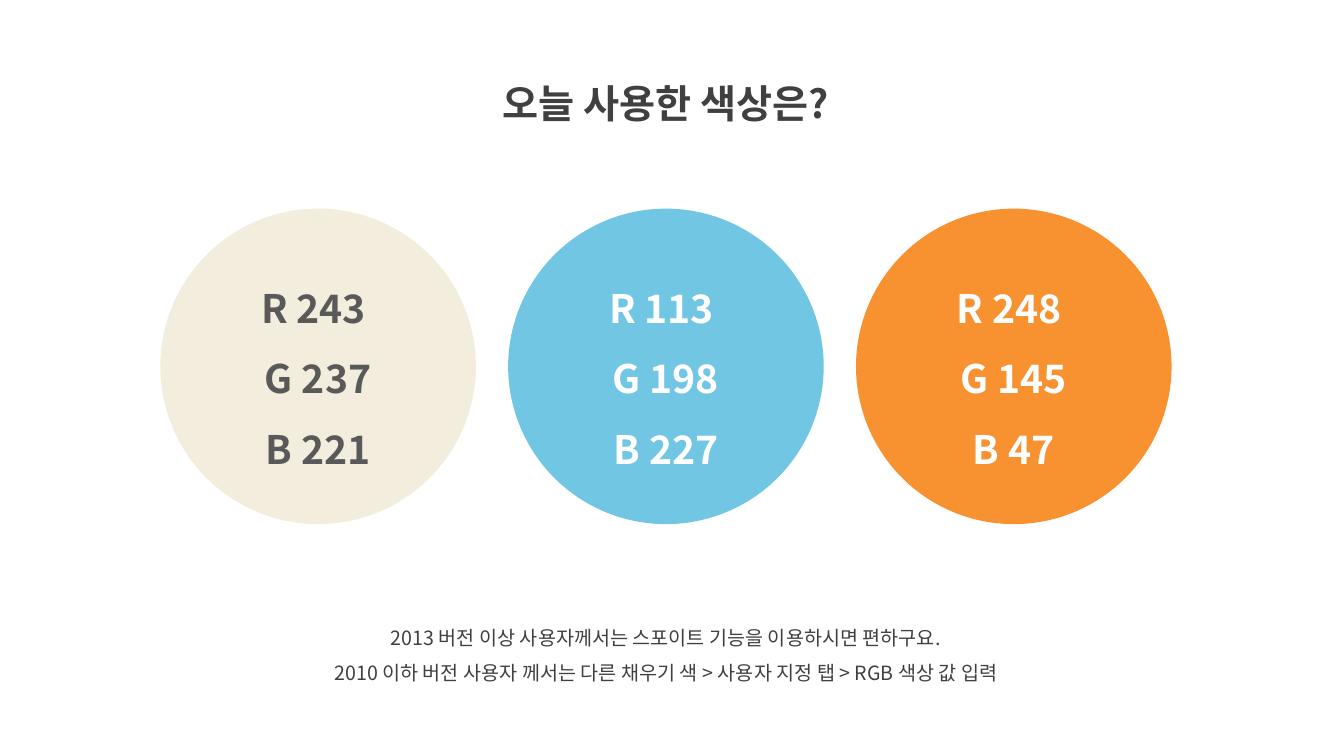
from dataclasses import dataclass

from lxml import etree
from pptx import Presentation
from pptx import util as u
from pptx.dml.color import RGBColor
from pptx.enum import shapes, text
from pptx.oxml.ns import qn

FONT = "Noto Sans CJK KR"
COLORS = {
    "ink": "404040",
    "gray": "595959",
    "white": "FFFFFF",
    "cream": "F3EDDD",
    "sky": "71C6E3",
    "orange": "F8912F",
}
DIAMETER, STEP = 3.13, 3.45
FIRST_LEFT, CIRCLE_TOP = 1.59, 2.07


@dataclass
class Swatch:
    fill: str
    ink: str


SWATCHES = [
    Swatch("cream", "gray"),
    Swatch("sky", "white"),
    Swatch("orange", "white"),
]
CAPTION = [
    "2013 버전 이상 사용자께서는 스포이트 기능을 이용하시면 편하구요.",
    "2010 이하 버전 사용자 께서는 다른 채우기 색 > 사용자 지정 탭 > RGB 색상 값 입력",
]


def rgb(name: str) -> RGBColor:
    return RGBColor.from_string(COLORS[name])


def write(shape, lines: list[str], size: float, ink: str, bold: bool, frame_format: dict) -> None:
    """Fill a shape with centred lines in the slide font."""
    frame = shape.text_frame
    for key, value in {"word_wrap": True, **frame_format}.items():
        setattr(frame, key, value)
    for index, line in enumerate(lines):
        para = frame.add_paragraph() if index else frame.paragraphs[0]
        para_format = {
            "alignment": text.PP_ALIGN.CENTER,
            "line_spacing": 1.5,
            "space_before": u.Pt(0),
        }
        for key, value in para_format.items():
            setattr(para, key, value)
        span = para.add_run()
        span.text = line
        for key, value in {"name": FONT, "size": u.Pt(size), "bold": bold}.items():
            setattr(span.font, key, value)
        span.font.color.rgb = rgb(ink)
        # Korean letters take the East Asian typeface
        etree.SubElement(span.font._element, qn("a:ea"), typeface=FONT)


def add_swatch(page, swatch: Swatch, left: float) -> None:
    """Draw a circle that states the RGB values of its own fill."""
    circle = page.shapes.add_shape(
        shapes.MSO_SHAPE.OVAL,
        u.Inches(left), u.Inches(CIRCLE_TOP), u.Inches(DIAMETER), u.Inches(DIAMETER),
    )
    circle.shadow.inherit = False
    circle.fill.solid()
    circle.fill.fore_color.rgb = rgb(swatch.fill)
    circle.line.fill.background()
    red, green, blue = rgb(swatch.fill)
    lines = [f"R {red} ", f"G {green}", f"B {blue}"]
    write(circle, lines, 28, swatch.ink, True, {"vertical_anchor": text.MSO_ANCHOR.MIDDLE})


def main() -> None:
    deck = Presentation()
    deck.slide_width, deck.slide_height = u.Inches(13.33), u.Inches(7.5)
    page = deck.slides.add_slide(deck.slide_layouts[5])
    growing = {
        "vertical_anchor": text.MSO_ANCHOR.TOP,
        "auto_size": text.MSO_AUTO_SIZE.SHAPE_TO_FIT_TEXT,
    }

    # Title
    title = page.shapes.title
    title.left, title.top = u.Inches(4.29), u.Inches(0.5)
    title.width, title.height = u.Inches(4.63), u.Inches(0.72)
    write(title, ["오늘 사용한 색상은?"], 28, "ink", True, growing)

    # Caption
    box = page.shapes.add_textbox(u.Inches(2.61), u.Inches(6.04), u.Inches(7.99), u.Inches(0.81))
    write(box, CAPTION, 14, "ink", False, growing)

    # Colour circles
    for index, swatch in enumerate(SWATCHES):
        add_swatch(page, swatch, FIRST_LEFT + index * STEP)

    deck.save("out.pptx")


if __name__ == "__main__":
    main()
